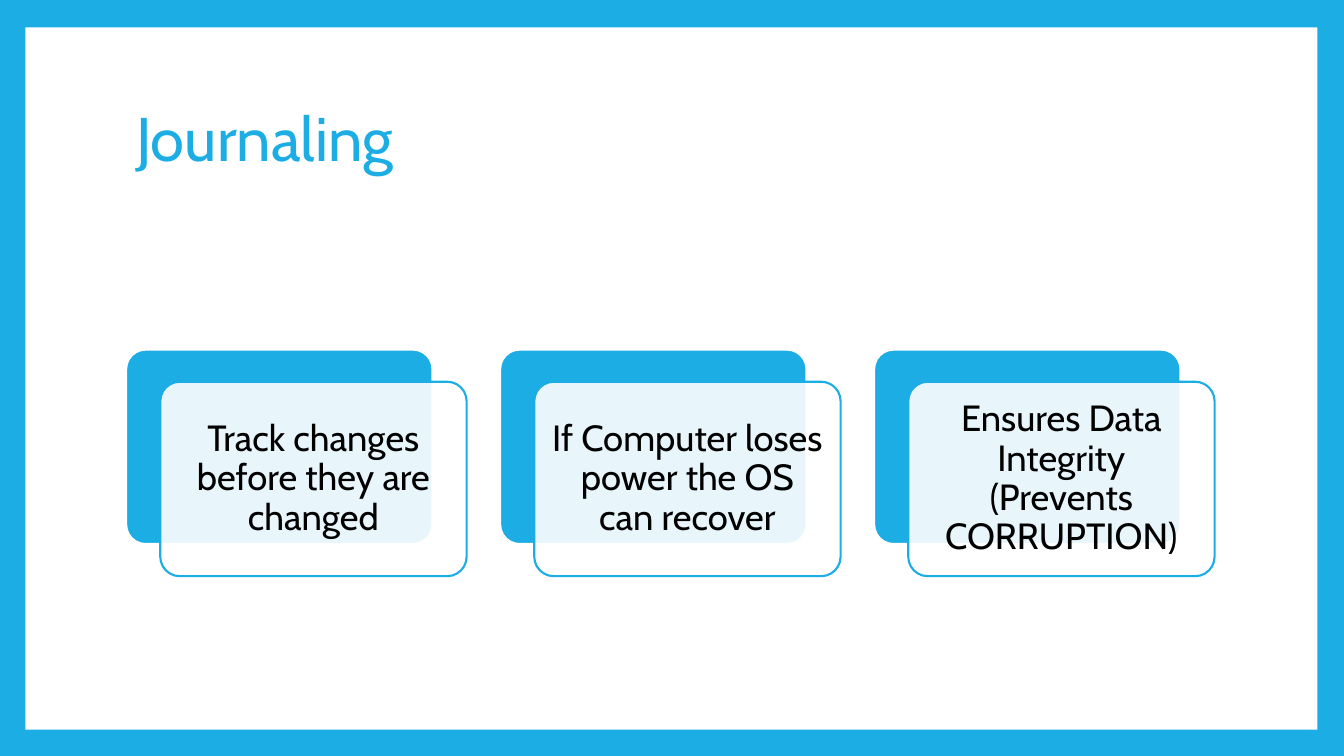
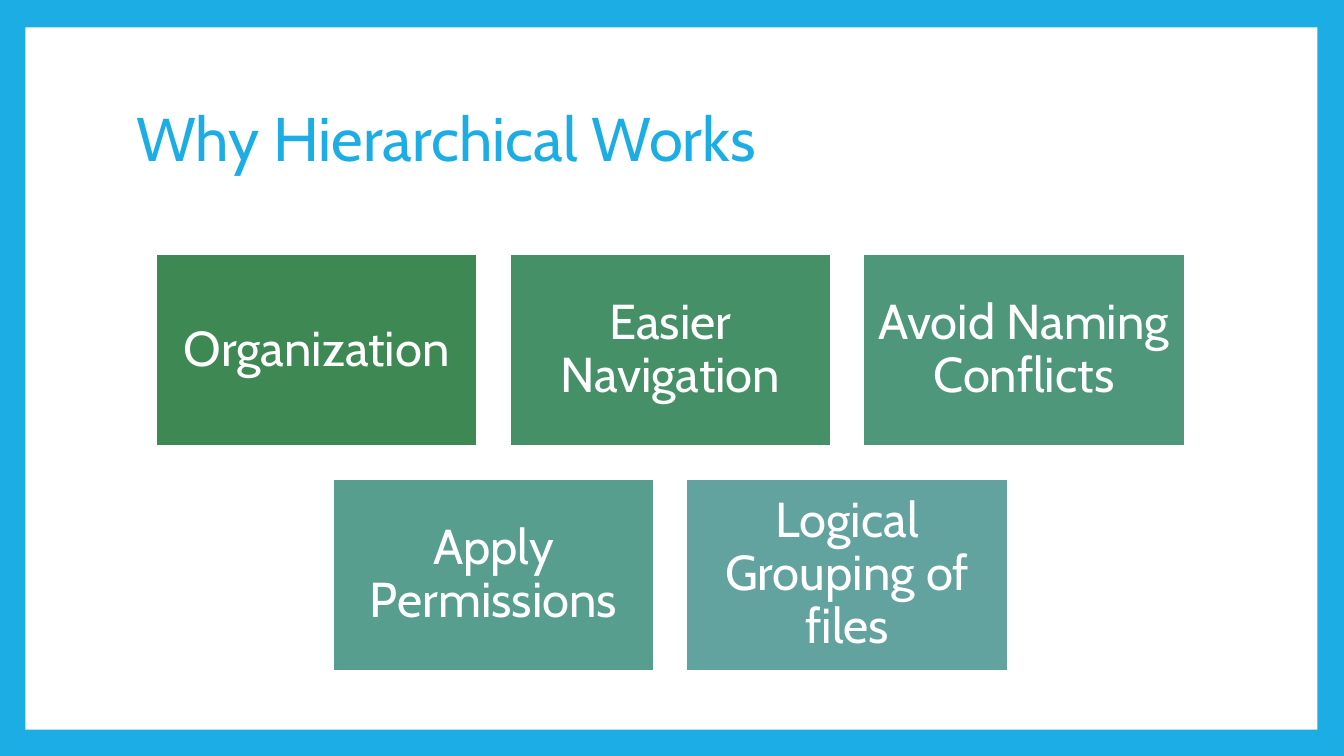
from dataclasses import dataclass

from lxml import etree
from pptx import Presentation
from pptx import util as u
from pptx.dml.color import RGBColor
from pptx.enum import shapes, text
from pptx.oxml import ns

BLUE = RGBColor(0x1C, 0xAD, 0xE4)
WHITE = RGBColor(0xFF, 0xFF, 0xFF)
BLACK = RGBColor(0x00, 0x00, 0x00)
GREENS = [
    RGBColor(0x3E, 0x88, 0x53),
    RGBColor(0x46, 0x90, 0x67),
    RGBColor(0x4E, 0x97, 0x7B),
    RGBColor(0x57, 0x9E, 0x8E),
    RGBColor(0x62, 0xA3, 0x9F),
]
FONT = "Cabin"


@dataclass
class Box:
    left: float
    top: float
    width: float
    height: float

    def lengths(self):
        return [u.Cm(n) for n in (self.left, self.top, self.width, self.height)]


SLIDE = Box(0, 0, 33.87, 19.05)
PANEL = Box(0.64, 0.69, 32.56, 17.7)
TITLE = Box(3.18, 1.7, 27.43, 3.76)
CARDS = Box(3.18, 8.81, 27.43, 5.71)
TILES = Box(3.18, 6.4, 27.43, 10.51)


def add_panel(slide, preset, box, fill, line=None):
    panel = slide.shapes.add_shape(preset, *box.lengths())
    panel.shadow.inherit = False
    panel.fill.solid()
    panel.fill.fore_color.rgb = fill
    if line is None:
        panel.line.fill.background()
    else:
        panel.line.color.rgb = line
        panel.line.width = u.Pt(1.5)
    return panel


def set_opacity(shape, percent):
    color = shape.fill._xPr.find(ns.qn("a:solidFill"))[0]
    etree.SubElement(color, ns.qn("a:alpha")).set("val", str(percent * 1000))


def write(shape, wording, size, color, align, inset=None):
    frame = shape.text_frame
    frame.word_wrap = True
    frame.vertical_anchor = text.MSO_ANCHOR.MIDDLE
    if inset is not None:
        frame.margin_left = frame.margin_right = u.Cm(inset)
        frame.margin_top = frame.margin_bottom = u.Cm(inset)
    paragraph = frame.paragraphs[0]
    paragraph.alignment = align
    paragraph.line_spacing = 0.9
    run = paragraph.add_run()
    run.text = wording
    run.font.name = FONT
    run.font.size = u.Pt(size)
    run.font.color.rgb = color


def add_framed_slide(prs, title):
    slide = prs.slides.add_slide(prs.slide_layouts[6])
    slide.background.fill.solid()
    slide.background.fill.fore_color.rgb = BLUE
    add_panel(slide, shapes.MSO_SHAPE.RECTANGLE, PANEL, WHITE)
    heading = slide.shapes.add_textbox(*TITLE.lengths())
    write(heading, title, 44, BLUE, text.PP_ALIGN.LEFT)
    return slide


def add_cards(slide, box, wordings):
    shift_x, shift_y = 0.86, 0.81
    width, height = 7.72, box.height - shift_y
    pitch = (box.width - width - shift_x) / (len(wordings) - 1)
    rounded = shapes.MSO_SHAPE.ROUNDED_RECTANGLE
    for index, wording in enumerate(wordings):
        left = box.left + index * pitch
        back = add_panel(slide, rounded, Box(left, box.top, width, height), BLUE, WHITE)
        front_box = Box(left + shift_x, box.top + shift_y, width, height)
        front = add_panel(slide, rounded, front_box, WHITE, BLUE)
        back.adjustments[0] = front.adjustments[0] = 0.1
        set_opacity(front, 90)
        write(front, wording, 26, BLACK, text.PP_ALIGN.CENTER, 0.28)


def add_tiles(slide, box, rows):
    gap, width = 0.81, 8.1
    height = (box.height - gap * (len(rows) - 1)) / len(rows)
    fills = iter(GREENS)
    for row_index, row in enumerate(rows):
        row_width = len(row) * (width + gap) - gap
        row_left = box.left + (box.width - row_width) / 2
        top = box.top + row_index * (height + gap)
        for column, wording in enumerate(row):
            tile_box = Box(row_left + column * (width + gap), top, width, height)
            tile = add_panel(slide, shapes.MSO_SHAPE.RECTANGLE, tile_box, next(fills), WHITE)
            write(tile, wording, 35, WHITE, text.PP_ALIGN.CENTER, 0.37)


def main():
    prs = Presentation()
    prs.slide_width, prs.slide_height = SLIDE.lengths()[2:]

    journaling = add_framed_slide(prs, "Journaling")
    add_cards(journaling, CARDS, [
        "Track changes before they are changed",
        "If Computer loses power the OS can recover",
        "Ensures Data Integrity (Prevents CORRUPTION)",
    ])

    hierarchy = add_framed_slide(prs, "Why Hierarchical Works")
    add_tiles(hierarchy, TILES, [
        ["Organization", "Easier Navigation", "Avoid Naming Conflicts"],
        ["Apply Permissions", "Logical Grouping of files"],
    ])

    prs.save("out.pptx")


if __name__ == "__main__":
    main()
